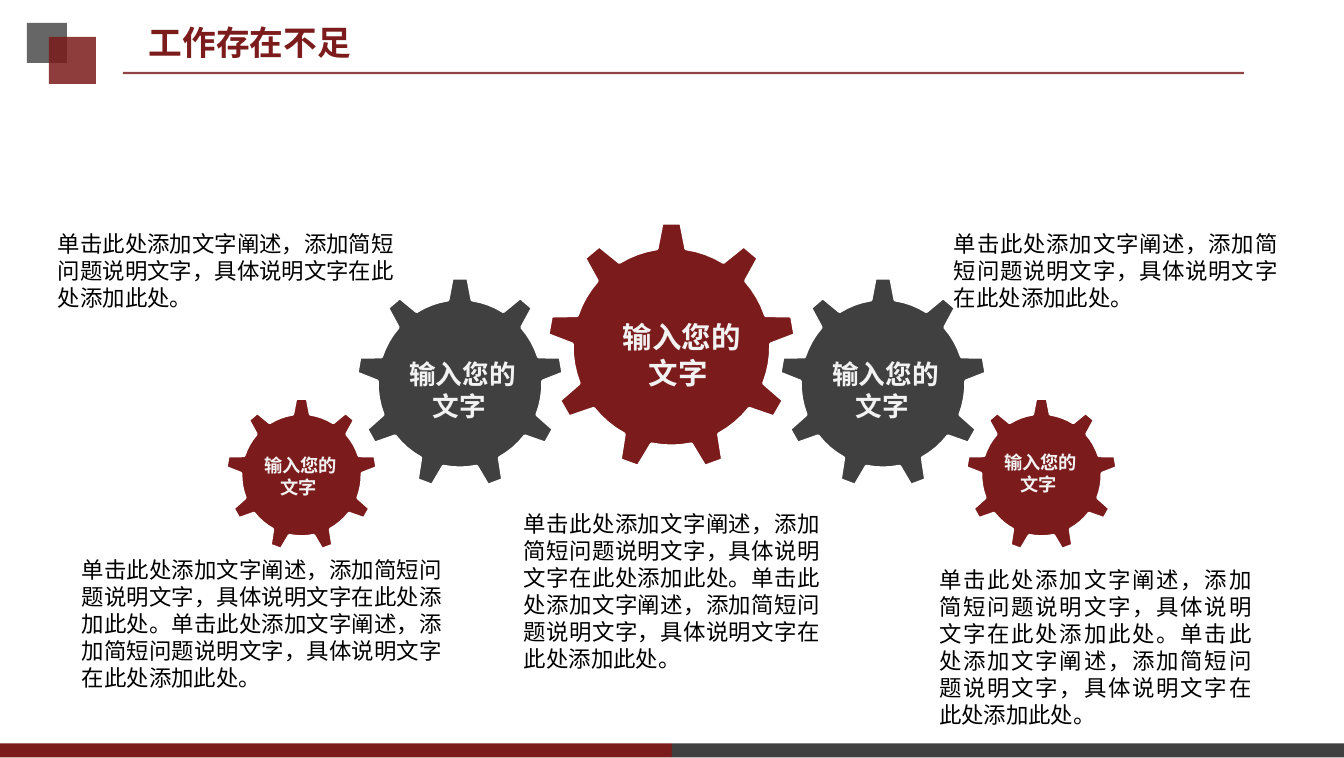
"""Build the work-shortcomings slide: five gears with captions and descriptions."""
from dataclasses import dataclass
from math import cos, radians, sin

from lxml import etree
from pptx import Presentation
from pptx.dml.color import RGBColor
from pptx.enum.shapes import MSO_CONNECTOR, MSO_SHAPE
from pptx.enum.text import MSO_ANCHOR, MSO_AUTO_SIZE, PP_ALIGN
from pptx.oxml.ns import qn
from pptx.util import Emu, Pt

RECT, STRAIGHT = MSO_SHAPE.RECTANGLE, MSO_CONNECTOR.STRAIGHT
LEFT, CENTER, JUSTIFY = PP_ALIGN.LEFT, PP_ALIGN.CENTER, PP_ALIGN.JUSTIFY
TOP, NO_FIT = MSO_ANCHOR.TOP, MSO_AUTO_SIZE.NONE

SCALE = 914400 / 101
FONT = "Noto Sans CJK SC"
COLORS = {"red": "7B1B1B", "gray": "404040", "white": "FFFFFF",
          "caption": "F2F2F2", "black": "000000"}
SENTENCE = "单击此处添加文字阐述，添加简短问题说明文字，具体说明文字在此处添加此处。"
CAPTION = [" 输入您的", "文字"]
TEETH, ROOT_RADIUS = 9, 0.8
TOOTH_PROFILE = [(-8.4, ROOT_RADIUS), (-4.4, 1), (4.4, 1), (8.4, ROOT_RADIUS),
                 (14.2, ROOT_RADIUS), (20, ROOT_RADIUS), (25.8, ROOT_RADIUS)]


@dataclass(frozen=True)
class Box:
    """A rectangle in px."""
    x: int
    y: int
    w: int
    h: int


@dataclass(frozen=True)
class Gear:
    """A gear outline with its caption."""
    box: Box
    color: str
    caption: Box
    size: int


@dataclass(frozen=True)
class Block:
    """A filled rectangle with opacity in percent."""
    box: Box
    color: str
    opacity: int = 100


@dataclass(frozen=True)
class Description:
    """A paragraph repeating the sample sentence."""
    box: Box
    repeats: int


BLOCKS = [
    Block(Box(0, 743, 672, 14), "red"),
    Block(Box(27, 23, 40, 40), "gray", 80),
    Block(Box(49, 37, 47, 47), "red", 85),
    Block(Box(672, 743, 672, 14), "gray"),
]
GEARS = [
    Gear(Box(357, 278, 206, 207), "gray", Box(387, 351, 145, 78), 19),
    Gear(Box(780, 278, 206, 207), "gray", Box(810, 351, 145, 78), 19),
    Gear(Box(548, 223, 247, 243), "red", Box(593, 312, 171, 86), 21),
    Gear(Box(226, 398, 151, 151), "red", Box(226, 447, 145, 59), 13),
    Gear(Box(966, 398, 151, 151), "red", Box(966, 444, 145, 59), 13),
]
DESCRIPTIONS = [
    Description(Box(511, 503, 322, 204), 2),
    Description(Box(941, 223, 350, 95), 1),
    Description(Box(45, 223, 362, 95), 1),
    Description(Box(926, 559, 339, 204), 2),
    Description(Box(69, 549, 386, 177), 2),
]


def px(value: float) -> Emu:
    """Turn px into EMU."""
    return Emu(round(value * SCALE))


def frame(box: Box) -> tuple:
    """Give a box as left, top, width and height in EMU."""
    return px(box.x), px(box.y), px(box.w), px(box.h)


def rgb(name: str) -> RGBColor:
    """Look up a colour."""
    return RGBColor.from_string(COLORS[name])


def set_opacity(sp, percent: int) -> None:
    """Make the first solid colour of a shape translucent."""
    color = next(sp._element.spPr.iter(qn("a:srgbClr")))
    etree.SubElement(color, qn("a:alpha"), val=str(percent * 1000))


def write(sp, lines: list, size: int, color: str, bold: bool, align, inset: tuple) -> None:
    """Fill a text shape with evenly formatted paragraphs."""
    tf = sp.text_frame
    tf.word_wrap, tf.auto_size, tf.vertical_anchor = True, NO_FIT, TOP
    tf.margin_left = tf.margin_right = px(inset[0])
    tf.margin_top = tf.margin_bottom = px(inset[1])
    tf.text = "\n".join(lines)
    for p in tf.paragraphs:
        p.alignment = align
        p.font.size, p.font.bold, p.font.name = Pt(size), bold, FONT
        p.font.color.rgb = rgb(color)
        etree.SubElement(p._p.pPr.find(qn("a:defRPr")), qn("a:ea"), typeface=FONT)


def add_block(s, block: Block) -> None:
    """Draw a filled rectangle."""
    sp = s.shapes.add_shape(RECT, *frame(block.box))
    sp.shadow.inherit = False
    sp.fill.solid()
    sp.fill.fore_color.rgb = rgb(block.color)
    sp.line.fill.background()
    if block.opacity < 100:
        set_opacity(sp, block.opacity)


def add_rule(s) -> None:
    """Draw the line under the title."""
    rule = s.shapes.add_connector(STRAIGHT, px(123), px(73), px(1244), px(73))
    rule.line.color.rgb = rgb("red")
    rule.line.width = Pt(1.75)
    set_opacity(rule, 81)
    etree.SubElement(rule._element.spPr, qn("a:effectLst"))


def gear_points(box: Box) -> list:
    """Place the teeth by angle and stretch the outline to the box."""
    polar = [(radians(360 / TEETH * tooth + angle), radius)
             for tooth in range(TEETH) for angle, radius in TOOTH_PROFILE]
    xs = [radius * sin(angle) for angle, radius in polar]
    ys = [-radius * cos(angle) for angle, radius in polar]
    kx, ky = box.w / (max(xs) - min(xs)), box.h / (max(ys) - min(ys))
    return [(px(box.x + (x - min(xs)) * kx), px(box.y + (y - min(ys)) * ky))
            for x, y in zip(xs, ys)]


def add_gear(s, gear: Gear) -> None:
    """Draw a gear and its caption."""
    points = gear_points(gear.box)
    builder = s.shapes.build_freeform(*points[0])
    builder.add_line_segments(points[1:], close=True)
    sp = builder.convert_to_shape()
    sp.shadow.inherit = False
    sp.fill.solid()
    sp.fill.fore_color.rgb = rgb(gear.color)
    sp.line.color.rgb = rgb("white")
    sp.line.width = Pt(2.25)
    caption = s.shapes.add_textbox(*frame(gear.caption))
    write(caption, CAPTION, gear.size, "caption", True, CENTER, (13, 7))


def add_description(s, description: Description) -> None:
    """Draw a justified description."""
    sp = s.shapes.add_textbox(*frame(description.box))
    write(sp, [SENTENCE * description.repeats], 16, "black", False, JUSTIFY, (13, 7))


def main() -> None:
    """Build and save the slide."""
    prs = Presentation()
    prs.slide_width, prs.slide_height = px(1344), px(757.5)
    s = prs.slides.add_slide(prs.slide_layouts[5])
    for block in BLOCKS:
        add_block(s, block)
    add_rule(s)
    for gear in GEARS:
        add_gear(s, gear)
    for description in DESCRIPTIONS:
        add_description(s, description)
    title = s.shapes.title
    title.left, title.top, title.width, title.height = frame(Box(139, 17, 310, 51))
    write(title, ["工作存在不足"], 24, "red", True, LEFT, (10, 5))
    prs.save("out.pptx")


if __name__ == "__main__":
    main()
